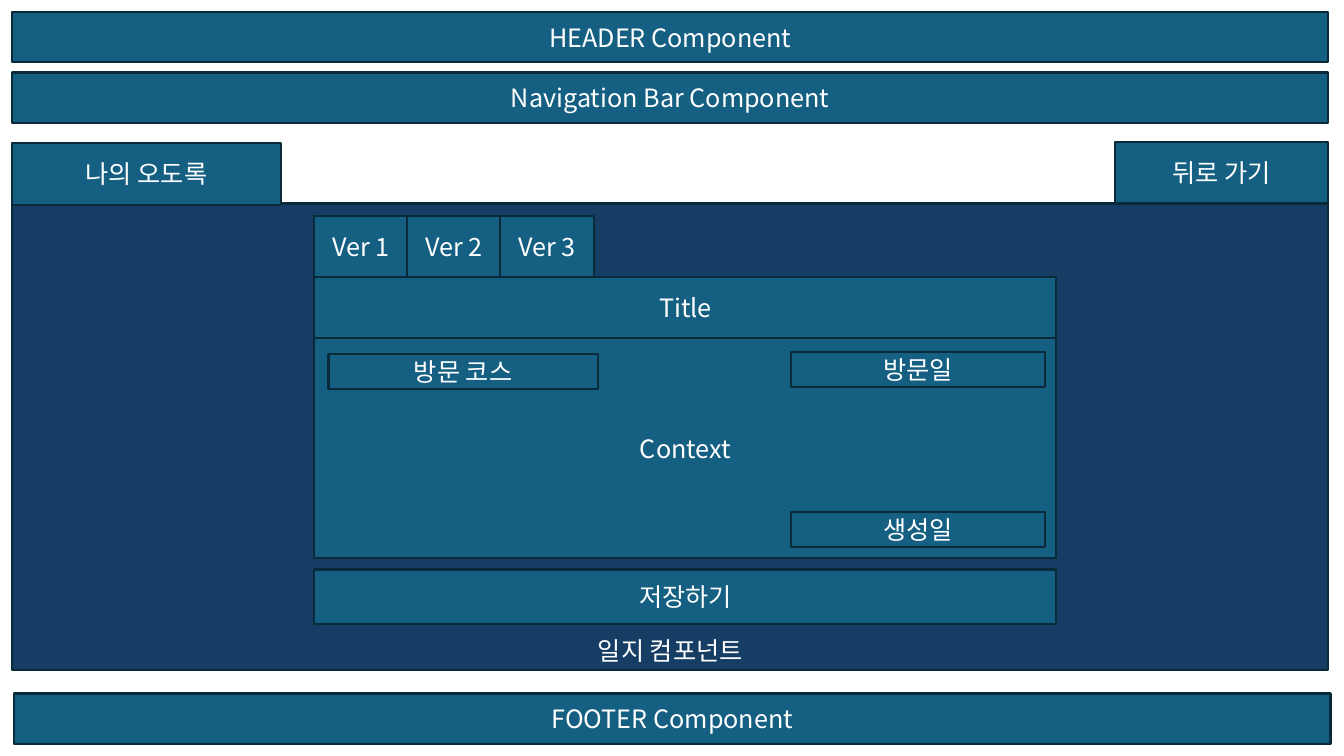
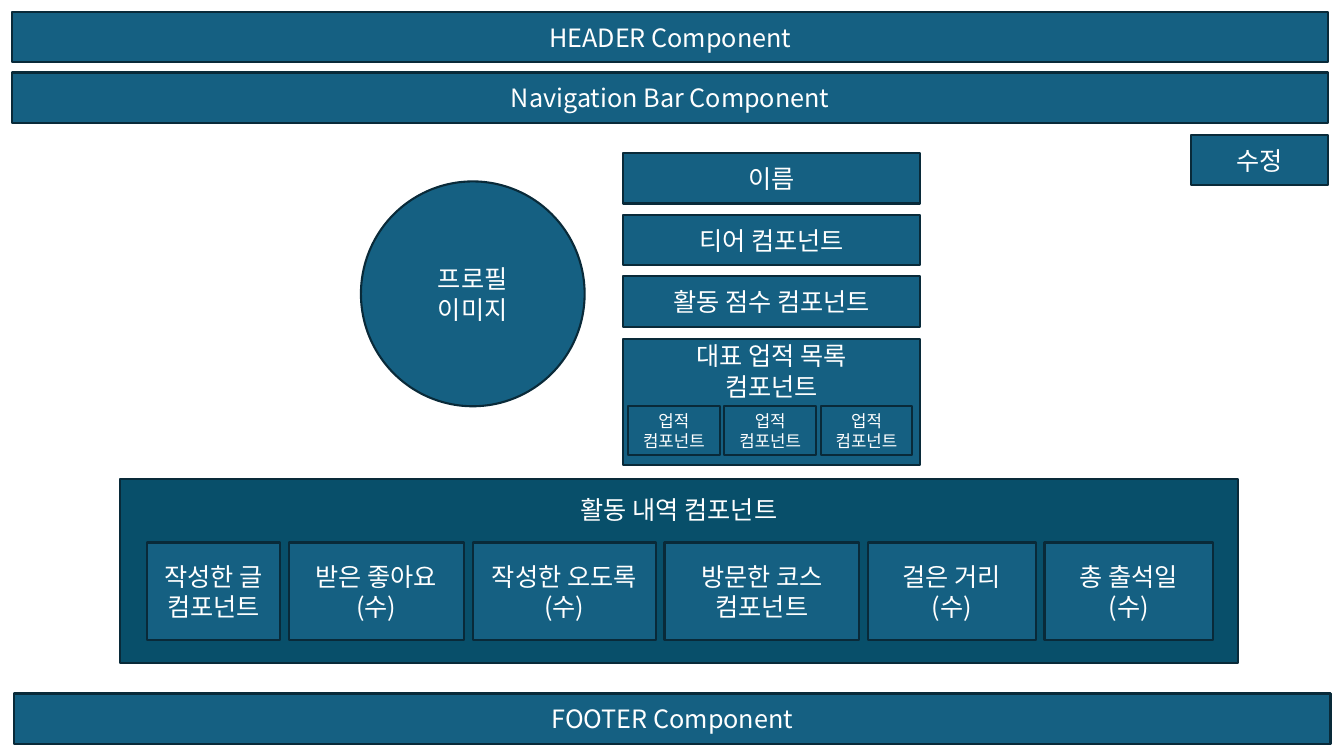
from lxml.etree import SubElement
from pptx import Presentation
from pptx.dml.color import RGBColor
from pptx.enum.shapes import MSO_SHAPE
from pptx.enum.text import MSO_ANCHOR, PP_ALIGN
from pptx.oxml.ns import qn
from pptx.util import Pt

FONT = "Noto Sans CJK KR"
TEAL = "156082"
DARK_TEAL = "084F6A"
NAVY = "163E64"
OUTLINE = "092A39"
WHITE = "FFFFFF"
LINE_HEIGHT = 1.2
BAND_LEFT, BAND_WIDTH, BAND_HEIGHT = 8.6, 940.3, 36


def color(code):
    """Turn a hex string into a colour."""
    return RGBColor.from_string(code)


def style_paragraph(para, size):
    """Centre a paragraph and set its font for Latin and Korean text."""
    para.alignment = PP_ALIGN.CENTER
    para.line_spacing = Pt(size * LINE_HEIGHT)
    para.font.size = Pt(size)
    para.font.color.rgb = color(WHITE)
    para.font.name = FONT
    SubElement(para._p.pPr.find(qn("a:defRPr")), qn("a:ea"), typeface=FONT)


def add_box(page, text, left, top, width, height, fill=TEAL, size=18,
            kind=MSO_SHAPE.RECTANGLE):
    """Draw an outlined shape with centred text and return it."""
    box = page.shapes.add_shape(kind, Pt(left), Pt(top), Pt(width), Pt(height))
    box.shadow.inherit = False
    box.fill.solid()
    box.fill.fore_color.rgb = color(fill)
    box.line.color.rgb = color(OUTLINE)
    box.line.width = Pt(1.5)
    frame = box.text_frame
    frame.word_wrap = True
    frame.vertical_anchor = MSO_ANCHOR.MIDDLE
    frame.text = text
    for para in frame.paragraphs:
        style_paragraph(para, size)
    return box


def add_top_panel(page, text, left, top, width, height, margin, fill=TEAL):
    """Draw a panel whose label sits at its top edge."""
    frame = add_box(page, text, left, top, width, height, fill).text_frame
    frame.vertical_anchor = MSO_ANCHOR.TOP
    frame.margin_top = Pt(margin)


def add_page(deck):
    """Add a blank page with the header, navigation and footer bands."""
    page = deck.slides.add_slide(deck.slide_layouts[6])
    bands = [
        ("HEADER Component", BAND_LEFT, 8.6),
        ("Navigation Bar Component", BAND_LEFT, 51.8),
        ("FOOTER Component", 10.1, 495.4),
    ]
    for text, left, top in bands:
        add_box(page, text, left, top, BAND_WIDTH, BAND_HEIGHT)
    return page


def build_journal(page):
    """Lay out the journal editing page."""
    panel = add_box(page, "일지 컴포넌트", BAND_LEFT, 145.4, BAND_WIDTH, 333.4, NAVY)
    panel.text_frame.vertical_anchor = MSO_ANCHOR.BOTTOM
    add_box(page, "뒤로 가기", 796.3, 101.5, 152.6, 43.4)
    add_box(page, "나의 오도록", BAND_LEFT, 102.2, 192.2, 44)

    form_left, form_width = 224.6, 530
    add_box(page, "Context", form_left, 241.2, form_width, 157.7)
    add_box(page, "Title", form_left, 198, form_width, 43.6)
    add_box(page, "저장하기", form_left, 406.8, form_width, 38.9)
    for number in range(3):
        add_box(page, f"Ver {number + 1}", form_left + number * 66.3, 154.1, 67, 43.6)

    fields = [
        ("방문 코스", 234.7, 252.7, 192.2),
        ("방문일", 565.2, 251.3, 181.4),
        ("생성일", 565.2, 365.8, 181.4),
    ]
    for text, left, top, width in fields:
        add_box(page, text, left, top, width, 25.2)


def build_profile(page):
    """Lay out the user profile page."""
    add_box(page, "수정", 851, 96.5, 97.9, BAND_HEIGHT)
    add_box(page, "프로필\n이미지", 257.8, 129.6, 159.8, 160.6, kind=MSO_SHAPE.OVAL)

    info_left, info_width = 445, 212.4
    for row, text in enumerate(["이름", "티어 컴포넌트", "활동 점수 컴포넌트"]):
        add_box(page, text, info_left, 109.4 + row * 44, info_width, BAND_HEIGHT)
    add_top_panel(page, "대표 업적 목록\n컴포넌트", info_left, 241.9, info_width, 90, 1.4)
    for column in range(3):
        add_box(page, "업적\n컴포넌트", 448.6 + column * 68.8, 290.3, 65.5, 35, size=12)

    add_top_panel(page, "활동 내역 컴포넌트", 85.7, 342, 798.5, 131.8, 11.4, DARK_TEAL)
    cards = [
        ("작성한 글\n컴포넌트", 95),
        ("받은 좋아요\n(수)", 125.3),
        ("작성한 오도록\n(수)", 131),
        ("방문한 코스\n컴포넌트", 139),
        ("걸은 거리\n(수)", 120.2),
        ("총 출석일\n(수)", 120.2),
    ]
    left, gap = 105.1, 6.1
    for text, width in cards:
        add_box(page, text, left, 387.5, width, 70)
        left += width + gap


def main():
    """Build and save the deck."""
    deck = Presentation()
    deck.slide_width, deck.slide_height = Pt(960), Pt(540)
    build_journal(add_page(deck))
    build_profile(add_page(deck))
    deck.save("out.pptx")


if __name__ == "__main__":
    main()
